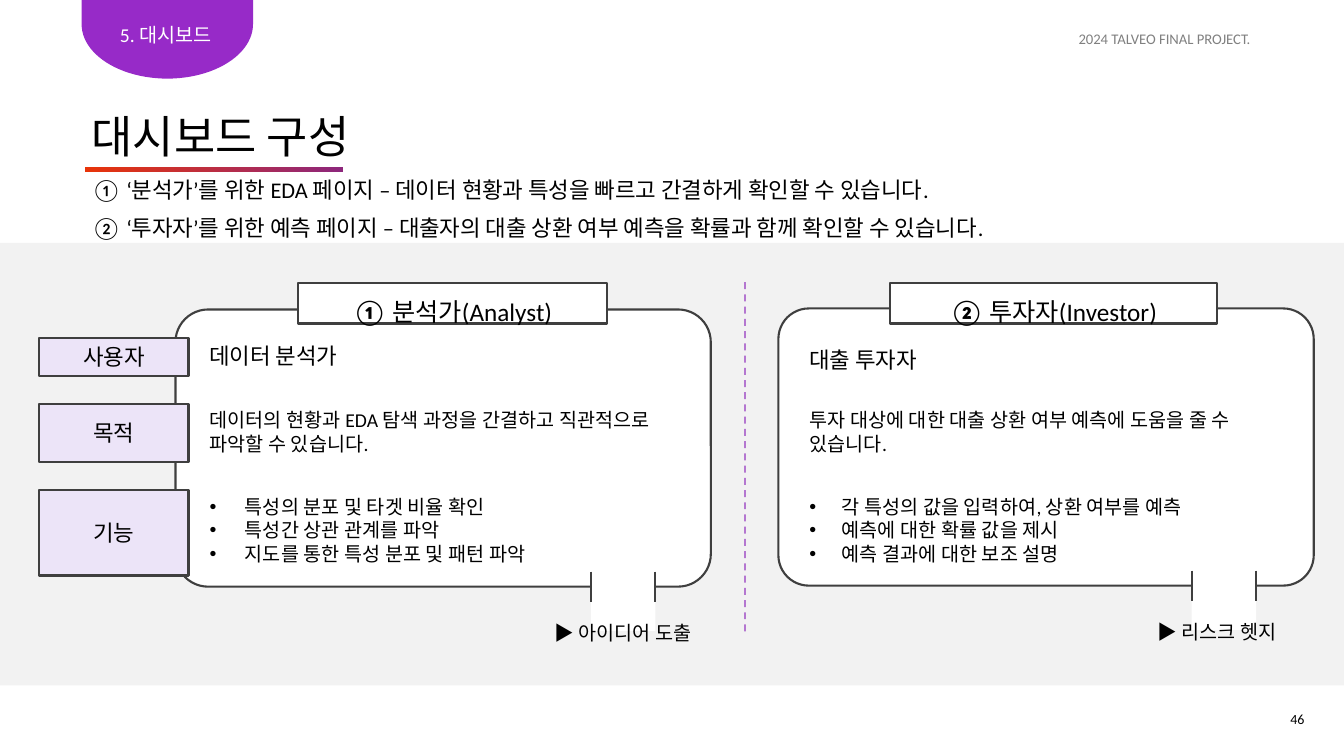
from dataclasses import dataclass
from math import cos, pi, sin

from lxml import etree
from pptx import Presentation
from pptx.dml.color import RGBColor
from pptx.enum.dml import MSO_LINE
from pptx.enum.shapes import MSO_CONNECTOR, MSO_SHAPE
from pptx.enum.text import MSO_ANCHOR, MSO_AUTO_SIZE, PP_ALIGN
from pptx.oxml.ns import qn
from pptx.util import Inches, Pt

RECTANGLE, ROUNDED = MSO_SHAPE.RECTANGLE, MSO_SHAPE.ROUNDED_RECTANGLE
STRAIGHT, DASH = MSO_CONNECTOR.STRAIGHT, MSO_LINE.DASH
LEFT, CENTER, JUSTIFY = PP_ALIGN.LEFT, PP_ALIGN.CENTER, PP_ALIGN.JUSTIFY
MIDDLE, GROW = MSO_ANCHOR.MIDDLE, MSO_AUTO_SIZE.SHAPE_TO_FIT_TEXT
FONT = "Calibri"
BLACK, WHITE, GRAY = "000000", "FFFFFF", "808080"
OUTLINE, BAND, LABEL_FILL = "3F3F3F", "F2F2F2", "ECE4F8"
PURPLE, DIVIDER = "972AC8", "A75DC9"
NOTCH, TEXT_WIDTH, TEXT_MARGIN = 0.64, 5.17, 0.15


@dataclass
class RowLabel:
    text: str
    top: float
    height: float


@dataclass
class Panel:
    left: float
    top: float
    corner: float
    number: str
    role: str
    header_left: float
    header_width: float
    text_left: float
    user: str
    user_top: float
    purpose: str
    features: list[str]
    bullet_margin: float
    notch_left: float
    outcome: str
    outcome_left: float


ROW_LABELS = [RowLabel("사용자", 3.35, 0.38), RowLabel("목적", 4.01, 0.57), RowLabel("기능", 4.86, 0.85)]
PANELS = [
    Panel(1.74, 3.07, 0.118, "① ", "분석가(Analyst)", 2.96, 3.06, 1.83, "데이터 분석가", 3.34,
          "데이터의 현황과 EDA 탐색 과정을 간결하고 직관적으로 파악할 수 있습니다.",
          ["특성의 분포 및 타겟 비율 확인", "특성간 상관 관계를 파악", "지도를 통한 특성 분포 및 패턴 파악"],
          0.5, 5.86, "▶ 아이디어 도출", 5.23),
    Panel(7.72, 3.06, 0.11, "② ", "투자자(Investor)", 8.83, 3.24, 7.78, "대출 투자자", 3.38,
          "투자 대상에 대한 대출 상환 여부 예측에 도움을 줄 수 있습니다.",
          ["각 특성의 값을 입력하여, 상환 여부를 예측", "예측에 대한 확률 값을 제시", "예측 결과에 대한 보조 설명"],
          0.47, 11.82, "▶ 리스크 헷지", 11.12),
]
SUMMARY = [
    "① ‘분석가’를 위한 EDA 페이지 – 데이터 현황과 특성을 빠르고 간결하게 확인할 수 있습니다.",
    "② ‘투자자’를 위한 예측 페이지 – 대출자의 대출 상환 여부 예측을 확률과 함께 확인할 수 있습니다.",
]


def rgb(color: str) -> RGBColor:
    return RGBColor.from_string(color)


def format_run(run, size: float, color: str = BLACK, bold: bool = False) -> None:
    run.font.size, run.font.bold, run.font.name = Pt(size), bold, FONT
    run.font.color.rgb = rgb(color)
    etree.SubElement(run._r.get_or_add_rPr(), qn("a:ea"), typeface=FONT)


def paint(shape, fill: str, outline: str | None = None) -> None:
    shape.shadow.inherit = False
    shape.fill.solid()
    shape.fill.fore_color.rgb = rgb(fill)
    if outline:
        shape.line.color.rgb = rgb(outline)
        shape.line.width = Pt(1.5)
    else:
        shape.line.fill.background()


def add_box(slide, left: float, top: float, width: float, height: float,
            fill: str, outline: str | None = None, kind=RECTANGLE):
    shape = slide.shapes.add_shape(kind, Inches(left), Inches(top), Inches(width), Inches(height))
    paint(shape, fill, outline)
    return shape


def add_label(shape, parts: list[str], size: float, spacing: float = 1.0) -> None:
    shape.text_frame.vertical_anchor = MIDDLE
    paragraph = shape.text_frame.paragraphs[0]
    paragraph.alignment = CENTER
    paragraph.line_spacing = spacing
    for part in parts:
        run = paragraph.add_run()
        run.text = part
        format_run(run, size, bold=part is not parts[-1])


def add_text(slide, left: float, top: float, width: float, height: float, lines: list[str],
             size: float, color: str = BLACK, align=LEFT, spacing: float = 1.0,
             margin: float = 0, grow: bool = False):
    box = slide.shapes.add_textbox(Inches(left), Inches(top), Inches(width), Inches(height))
    frame = box.text_frame
    frame.word_wrap = True
    if grow:
        frame.auto_size = GROW
    frame.text = "\n".join(lines)
    for paragraph in frame.paragraphs:
        paragraph.alignment = align
        paragraph.line_spacing = spacing
        paragraph._p.get_or_add_pPr().set("marL", str(Inches(margin)))
        for run in paragraph.runs:
            format_run(run, size, color)
    return box


def add_bullet(paragraph, hang: float) -> None:
    properties = paragraph._p.get_or_add_pPr()
    properties.set("indent", str(-Inches(hang)))
    bullet_color = etree.SubElement(properties, qn("a:buClr"))
    etree.SubElement(bullet_color, qn("a:srgbClr"), val=BLACK)
    etree.SubElement(properties, qn("a:buFont"), typeface="Arial")
    etree.SubElement(properties, qn("a:buChar"), char="•")


def add_vertical_line(slide, x: float, top: float, bottom: float, color: str, width: float):
    line = slide.shapes.add_connector(STRAIGHT, Inches(x), Inches(top), Inches(x), Inches(bottom))
    line.line.color.rgb = rgb(color)
    line.line.width = Pt(width)
    etree.SubElement(line._element.spPr, qn("a:effectLst"))
    return line


def add_section_tab(slide) -> None:
    left, radius, shoulder, depth = 0.81, 0.85, 0.24, 0.54
    angles = [pi * step / 48 for step in range(49)]
    arc = [(left + radius + radius * cos(angle), shoulder + depth * sin(angle)) for angle in angles]
    outline = [(Inches(x), Inches(y)) for x, y in [(left + 2 * radius, 0), *arc]]
    builder = slide.shapes.build_freeform(Inches(left), 0)
    builder.add_line_segments(outline, close=True)
    paint(builder.convert_to_shape(), PURPLE)


def add_panel_content(slide, panel: Panel) -> None:
    left, notch_top = panel.text_left, panel.top + 2.55
    add_text(slide, left, panel.user_top, TEXT_WIDTH, 0.39, [panel.user], 16, margin=TEXT_MARGIN)
    add_text(slide, left, 4.0, TEXT_WIDTH, 0.57, [panel.purpose], 14, margin=TEXT_MARGIN)
    features = add_text(slide, left, 4.86, TEXT_WIDTH, 0.85, panel.features, 14, margin=panel.bullet_margin)
    for paragraph in features.text_frame.paragraphs:
        add_bullet(paragraph, panel.bullet_margin - TEXT_MARGIN)
    header = add_box(slide, panel.header_left, 2.81, panel.header_width, 0.4, WHITE, OUTLINE)
    add_label(header, [panel.number, panel.role], 18, 1.5)
    add_box(slide, panel.notch_left, notch_top, NOTCH, NOTCH, WHITE)
    for x in (panel.notch_left, panel.notch_left + NOTCH):
        add_vertical_line(slide, x, notch_top + 0.05, notch_top + 0.35, OUTLINE, 1.5)
    add_text(slide, panel.outcome_left, notch_top + 0.37, 1.9, 0.45, [panel.outcome], 14,
             align=CENTER, spacing=1.5, grow=True)


def main() -> None:
    presentation = Presentation()
    presentation.slide_width, presentation.slide_height = Inches(13.33), Inches(7.5)
    slide = presentation.slides.add_slide(presentation.slide_layouts[6])
    add_box(slide, 0, 2.41, 13.33, 4.39, BAND)
    for panel in PANELS:
        body = add_box(slide, panel.left, panel.top, 5.31, 2.75, WHITE, OUTLINE, ROUNDED)
        body.adjustments[0] = panel.corner
    add_section_tab(slide)
    summary = add_text(slide, 0.81, 1.73, 12.52, 0.68, SUMMARY, 16, spacing=0.9)
    summary.text_frame.paragraphs[1].space_before = Pt(10)
    divider = add_vertical_line(slide, 7.39, 2.8, 6.31, DIVIDER, 1.25)
    divider.line.dash_style = DASH
    etree.SubElement(divider._element.spPr.find(".//" + qn("a:srgbClr")), qn("a:alpha"), val="81000")
    for label in ROW_LABELS:
        shape = add_box(slide, 0.39, label.top, 1.48, label.height, LABEL_FILL, OUTLINE)
        add_label(shape, [label.text], 16)
    for panel in PANELS:
        add_panel_content(slide, panel)
    underline = add_box(slide, 0.84, 1.66, 2.56, 0.05, PURPLE)
    underline.fill.gradient()
    underline.fill.gradient_angle = 0
    for stop, color in zip(underline.fill.gradient_stops, ("E83409", "8D277C")):
        stop.color.rgb = rgb(color)
    add_text(slide, 0.81, 1.03, 6.13, 0.64, ["대시보드 구성"], 32, grow=True)
    add_text(slide, 0.69, 0.18, 1.91, 0.34, ["5. 대시보드"], 14, WHITE, CENTER, grow=True)
    add_text(slide, 12.7, 6.92, 0.45, 0.33, ["46"], 10, align=JUSTIFY, spacing=1.5, grow=True)
    add_text(slide, 10.04, 0.25, 3.02, 0.29, ["2024 TALVEO FINAL PROJECT."], 10.5, GRAY, CENTER, grow=True)
    presentation.save("out.pptx")


if __name__ == "__main__":
    main()
